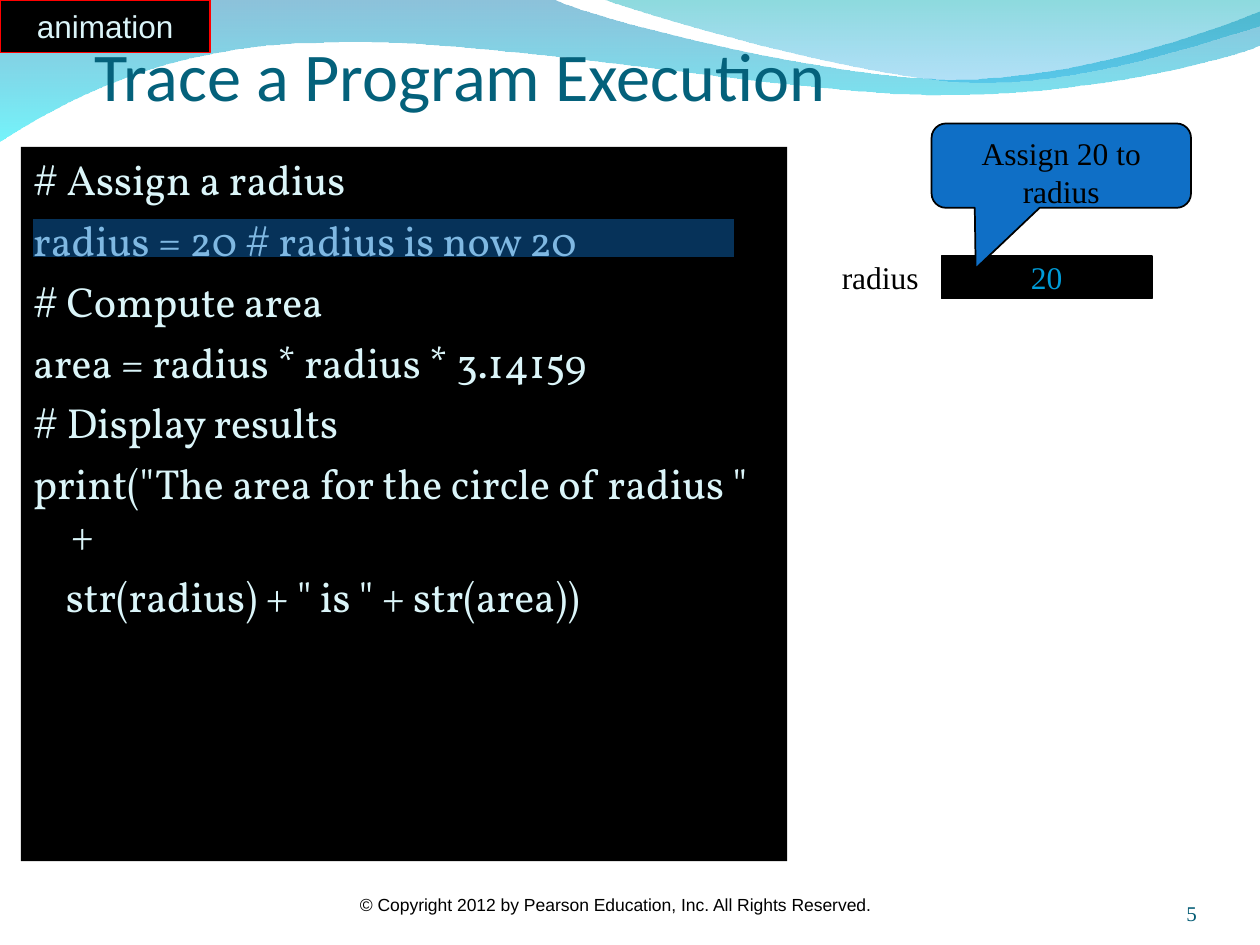
"""Build the slide that traces the assignment step of a circle-area program."""
from lxml import etree
from pptx import Presentation
from pptx import util as u
from pptx.dml.color import RGBColor
from pptx.enum import shapes, text
from pptx.oxml.ns import qn

THEME = {
    "black": "000000", "red": "FF0000", "blue": "0F6FC6", "sky": "009DD9",
    "pale": "DBF5F9", "heading": "04617B", "number": "045C75",
    "heading_size": 39, "code_size": 24, "note_size": 18, "number_size": 12, "footer_size": 10,
    "heading_font": "Calibri", "code_font": "Vollkorn", "note_font": "Times New Roman", "sans_font": "Arial",
}

TITLE = "Trace a Program Execution"
STATEMENT, CONTINUATION = (0.76, -0.76, 6), (0.66, 0, 6.5)
CODE = [
    ("# Assign a radius", STATEMENT),
    ("radius = 20 # radius is now 20", STATEMENT),
    ("# Compute area", STATEMENT),
    ("area = radius * radius * 3.14159", STATEMENT),
    ("# Display results", STATEMENT),
    ('print("The area for the circle of radius " +', STATEMENT),
    ('str(radius) + " is " + str(area))', CONTINUATION),
]
FOOTER = "© Copyright 2012 by Pearson Education, Inc. All Rights Reserved."
WAVES = [
    {"start": (0, 0), "stops": [("0079AF", 45), ("00EBF8", 55)], "legs": [
        [(11.18, 0)],
        [(12.09, 0.43), (16.87, 1.6), (19.25, 1.6)],
        [(21.67, 1.6), (24.33, 0.66), (25.4, 0.23)],
        [(25.4, 0.91)],
        [(24.97, 1.12), (22.1, 1.93), (18.95, 1.91)],
        [(15.8, 1.91), (9.7, 0.71), (6.53, 0.86)],
        [(3.28, 0.89), (1.17, 2.11), (0, 2.85)]]},
    {"start": (12.17, 0), "stops": [("00ADB6", 45), ("009BE5", 30)], "legs": [
        [(12.93, 0.28), (17.32, 1.57), (19.53, 1.65)],
        [(21.74, 1.75), (24.41, 0.81), (25.4, 0.53)],
        [(25.4, 0)]]},
]
ALIGN, ANCHOR, SHAPE = text.PP_ALIGN, text.MSO_ANCHOR, shapes.MSO_SHAPE


def color(name):
    return RGBColor.from_string(THEME.get(name, name))


def cm(*values):
    return [u.Cm(value) for value in values]


def set_opacity(fill_element, percents):
    for tint, percent in zip(fill_element.iter(qn("a:srgbClr")), percents):
        etree.SubElement(tint, qn("a:alpha"), val=str(percent * 1000))


def bend(ribbon, legs):
    """Turn each straight leg that has control points into a curve."""
    for side, leg in zip(list(ribbon.element.iter(qn("a:lnTo"))), legs):
        if len(leg) == 1:
            continue
        side.tag = qn("a:cubicBezTo")
        for position, (x, y) in enumerate(leg[:-1]):
            control = etree.Element(qn("a:pt"), x=str(u.Cm(x) - ribbon.left), y=str(u.Cm(y) - ribbon.top))
            side.insert(position, control)


def add_wave(slide, order, wave):
    builder = slide.shapes.build_freeform(*cm(*wave["start"]), scale=1.0)
    builder.add_line_segments([cm(*leg[-1]) for leg in wave["legs"]], close=True)
    ribbon = builder.convert_to_shape()
    bend(ribbon, wave["legs"])
    ribbon.shadow.inherit = False
    ribbon.line.fill.background()
    ribbon.fill.gradient()
    ribbon.fill.gradient_angle = 270
    for stop, (tint, _) in zip(ribbon.fill.gradient_stops, wave["stops"]):
        stop.color.rgb = color(tint)
    set_opacity(ribbon.element.spPr.find(qn("a:gradFill")), [share for _, share in wave["stops"]])
    slide.shapes.element.insert(2 + order, ribbon.element)


def write(paragraph, words, font, size, tint, align=ALIGN.LEFT):
    paragraph.alignment = align
    run = paragraph.add_run()
    run.text = words
    run.font.name, run.font.size, run.font.color.rgb = THEME[font], u.Pt(THEME[size]), color(tint)


def frame(owner, insets, anchor=ANCHOR.TOP, wrap=True):
    box = owner.text_frame
    box.auto_size, box.word_wrap, box.vertical_anchor = text.MSO_AUTO_SIZE.NONE, wrap, anchor
    box.margin_left, box.margin_top, box.margin_right, box.margin_bottom = cm(*insets)
    return box.paragraphs[0]


def place(holder, left, top, width, height):
    holder.left, holder.top, holder.width, holder.height = cm(left, top, width, height)


def add_panel(slide, kind, area, fill, line):
    panel = slide.shapes.add_shape(kind, *cm(*area))
    panel.shadow.inherit = False
    panel.fill.solid()
    panel.fill.fore_color.rgb = color(fill)
    panel.line.color.rgb, panel.line.width = color(line), u.Pt(1)
    return panel


def add_label(slide, area, insets, anchor=ANCHOR.TOP):
    return frame(slide.shapes.add_textbox(*cm(*area)), insets, anchor)


def fill_code(body, insets):
    place(body, 0.42, 2.96, 15.45, 14.4)
    body.fill.solid()
    body.fill.fore_color.rgb = color("black")
    paragraph = frame(body, insets)
    for number, (words, (margin, indent, gap)) in enumerate(CODE):
        if number:
            paragraph = body.text_frame.add_paragraph()
        properties = paragraph._p.get_or_add_pPr()
        properties.set("marL", str(u.Cm(margin)))
        properties.set("indent", str(u.Cm(indent)))
        etree.SubElement(properties, qn("a:buNone"))
        paragraph.line_spacing = 1.0
        paragraph.space_before = u.Pt(gap if number else 0)
        write(paragraph, words, "code_font", "code_size", "pale")


def main():
    deck = Presentation()
    deck.slide_width, deck.slide_height = cm(25.4, 19.05)
    slide = deck.slides.add_slide(deck.slide_layouts[1])
    title, body = slide.placeholders
    usual, tight, none = (0.25, 0.13, 0.25, 0.13), (0.03,) * 4, (0,) * 4

    for order, wave in enumerate(WAVES):
        add_wave(slide, order, wave)
    place(title, 1.9, 0.85, 21.59, 1.47)
    write(frame(title, (0, 0.13, 0, 0), ANCHOR.BOTTOM), TITLE, "heading_font", "heading_size", "heading")
    fill_code(body, usual)

    footer = add_label(slide, (4.66, 17.89, 15.49, 1.16), usual)
    write(footer, FOOTER, "sans_font", "footer_size", "black", ALIGN.CENTER)
    page = add_label(slide, (22.02, 17.65, 2.11, 1.02), none, ANCHOR.BOTTOM)
    write(page, "5", "note_font", "number_size", "number", ALIGN.RIGHT)

    value = add_panel(slide, SHAPE.RECTANGLE, (18.98, 5.16, 4.24, 0.86), "black", "black")
    write(frame(value, tight, ANCHOR.MIDDLE, False), "20", "note_font", "note_size", "sky", ALIGN.CENTER)
    variable = add_label(slide, (16.72, 5.08, 2.34, 1.02), usual)
    write(variable, "radius", "note_font", "note_size", "black")

    highlight = add_panel(slide, SHAPE.RECTANGLE, (0.64, 4.4, 14.17, 0.81), "blue", "black")
    set_opacity(highlight.element.spPr.find(qn("a:solidFill")), [45])

    callout = add_panel(slide, SHAPE.ROUNDED_RECTANGULAR_CALLOUT, (18.78, 2.49, 5.23, 1.7), "blue", "black")
    callout.adjustments[0], callout.adjustments[1], callout.adjustments[2] = -0.33, 1.22, 0.17
    write(frame(callout, usual), "Assign 20 to radius", "note_font", "note_size", "black", ALIGN.CENTER)

    badge = add_panel(slide, SHAPE.RECTANGLE, (0, 0, 4.24, 1.06), "black", "red")
    write(frame(badge, usual, ANCHOR.MIDDLE, False), "animation", "sans_font", "note_size", "pale", ALIGN.CENTER)
    deck.save("out.pptx")


if __name__ == "__main__":
    main()
